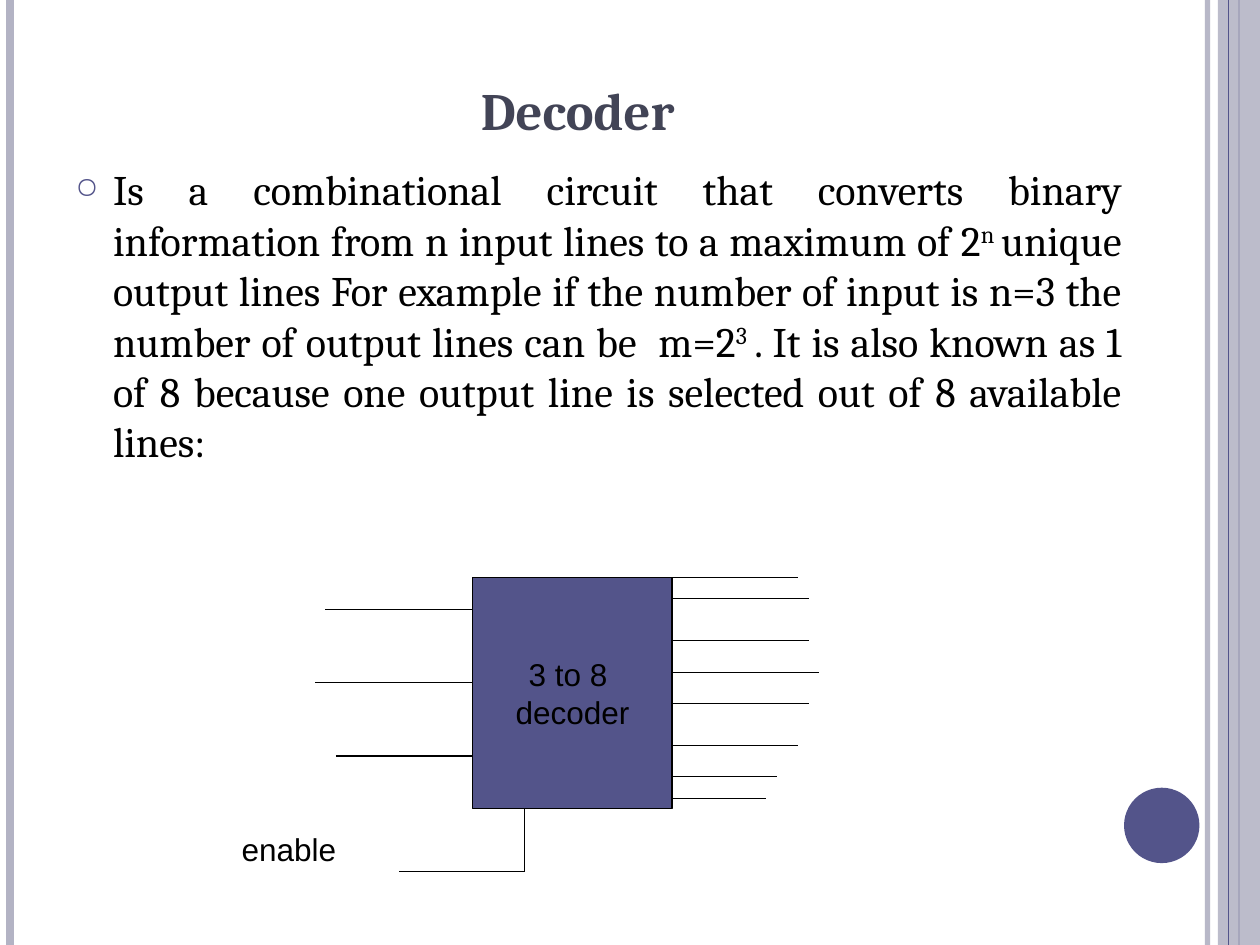
from dataclasses import dataclass

from lxml import etree
from pptx import Presentation
from pptx import util as u
from pptx.dml.color import RGBColor
from pptx.enum import shapes, text
from pptx.oxml import ns


@dataclass(frozen=True)
class Theme:
    accent: str = "53548A"
    pale: str = "B3B3C4"
    heading: str = "424456"
    ink: str = "000000"
    serif: str = "Cambria"
    sans: str = "Arial"
    title_size: float = 30
    body_size: float = 24
    label_size: float = 18
    hairline: float = 0.75


class SlideBuilder:
    """Holds the theme and the current slide; lengths are centimetres."""

    def __init__(self, slide, theme):
        self.slide = slide
        self.theme = theme

    def set_alpha(self, fill_parent, percent):
        color = fill_parent.find(".//" + ns.qn("a:srgbClr"))
        etree.SubElement(color, ns.qn("a:alpha"), val=str(percent * 1000))

    def line(self, x1, y1, x2, y2, color=None, width=None, alpha=None):
        rule = self.slide.shapes.add_connector(
            shapes.MSO_CONNECTOR.STRAIGHT, u.Cm(x1), u.Cm(y1), u.Cm(x2), u.Cm(y2))
        rule.line.color.rgb = RGBColor.from_string(color or self.theme.ink)
        rule.line.width = u.Pt(width or self.theme.hairline)
        properties = rule.line._get_or_add_ln().getparent()
        if alpha:
            self.set_alpha(properties, alpha)
        etree.SubElement(properties, ns.qn("a:effectLst"))

    def block(self, kind, box, fill, outline=None, alpha=None):
        block = self.slide.shapes.add_shape(kind, *map(u.Cm, box))
        block.shadow.inherit = False
        block.fill.solid()
        block.fill.fore_color.rgb = RGBColor.from_string(fill)
        if alpha:
            self.set_alpha(block.fill._xPr, alpha)
        if outline:
            block.line.color.rgb = RGBColor.from_string(outline)
            block.line.width = u.Pt(self.theme.hairline)
        else:
            block.line.fill.background()
        return block

    def run(self, paragraph, words, font, size, color=None, bold=False, raised=False):
        run = paragraph.add_run()
        run.text = words
        run.font.name = font
        run.font.size = u.Pt(size)
        run.font.bold = bold
        run.font.color.rgb = RGBColor.from_string(color or self.theme.ink)
        if raised:
            run.font._element.set("baseline", "30000")

    def title(self, words, box):
        title = self.slide.shapes.title
        title.left, title.top, title.width, title.height = map(u.Cm, box)
        title.text_frame.vertical_anchor = text.MSO_ANCHOR.BOTTOM
        paragraph = title.text_frame.paragraphs[0]
        paragraph.alignment = text.PP_ALIGN.CENTER
        self.run(paragraph, words, self.theme.serif, self.theme.title_size,
                 self.theme.heading, bold=True)

    def text_box(self, box, wrap):
        frame = self.slide.shapes.add_textbox(*map(u.Cm, box)).text_frame
        frame.word_wrap = wrap
        return frame

    def bullet_text(self, runs, box):
        paragraph = self.text_box(box, wrap=True).paragraphs[0]
        paragraph.alignment = text.PP_ALIGN.JUSTIFY
        paragraph.space_before = u.Pt(6)
        properties = paragraph._p.get_or_add_pPr()
        properties.set("marL", str(u.Cm(0.76)))
        properties.set("indent", str(u.Cm(-0.76)))
        bullet_color = etree.SubElement(properties, ns.qn("a:buClr"))
        etree.SubElement(bullet_color, ns.qn("a:srgbClr"), val=self.theme.accent)
        etree.SubElement(properties, ns.qn("a:buSzPct"), val="70000")
        etree.SubElement(properties, ns.qn("a:buChar"), char="○")
        for words, raised in runs:
            self.run(paragraph, words, self.theme.serif, self.theme.body_size, raised=raised)

    def label(self, frame, lines, alignment):
        for index, words in enumerate(lines):
            paragraph = frame.add_paragraph() if index else frame.paragraphs[0]
            paragraph.alignment = alignment
            self.run(paragraph, words, self.theme.sans, self.theme.label_size)


def main():
    deck = Presentation()
    deck.slide_width, deck.slide_height = u.Cm(25.4), u.Cm(19.05)
    theme = Theme()
    page = SlideBuilder(deck.slides.add_slide(deck.slide_layouts[5]), theme)

    # Side rules, right band and corner disc
    page_height = 19.05
    page.line(24.34, 0, 24.34, page_height, theme.pale, 3, alpha=93)
    page.line(0.21, 0, 0.21, page_height, theme.pale, 4.5)
    page.line(24.98, 0, 24.98, page_height, theme.accent, 1.5)
    page.block(shapes.MSO_SHAPE.RECTANGLE, (24.55, 0, 0.85, page_height), theme.pale, alpha=87)
    page.line(24.77, 0, 24.77, page_height, theme.accent)
    page.block(shapes.MSO_SHAPE.OVAL, (22.66, 15.88, 1.52, 1.52), theme.accent)

    # Title and definition
    page.title("Decoder", (1.27, 0.76, 20.75, 2.21))
    page.bullet_text([
        ("Is a combinational circuit that converts binary information from n input lines "
         "to a maximum of 2", False),
        ("n ", True),
        ("unique output lines For example if the number of input is n=3 the number of "
         "output lines can be  m=2", False),
        ("3 ", True),
        (". It is also known as 1 of 8 because one output line is selected out of 8 "
         "available lines:", False),
    ], (1.27, 3.18, 21.59, 14.81))

    # Decoder block
    left, top, width, height = 9.53, 11.64, 4.02, 4.66
    right, bottom = left + width, top + height
    decoder = page.block(shapes.MSO_SHAPE.RECTANGLE, (left, top, width, height),
                         theme.accent, theme.ink)
    decoder.text_frame.word_wrap = False
    decoder.text_frame.vertical_anchor = text.MSO_ANCHOR.MIDDLE
    page.label(decoder.text_frame, ["3 to 8 ", "decoder"], text.PP_ALIGN.CENTER)

    # Three inputs: height and outer end
    for y, start in [(12.28, 6.56), (13.76, 6.35), (15.24, 6.77)]:
        page.line(start, y, left, y)

    # Eight outputs: height and outer end
    for y, end in [(top, 16.09), (12.07, 16.3), (12.91, 16.3), (13.55, 16.51),
                   (14.18, 16.3), (15.03, 16.09), (15.66, 15.66), (16.09, 15.45)]:
        page.line(right, y, end, y)

    # Enable input
    enable_x, enable_y = 10.58, 17.57
    page.line(enable_x, bottom, enable_x, enable_y)
    page.line(enable_x, enable_y, 8.04, enable_y)
    enable = page.text_box((4.62, 16.61, 2.41, 1.02), wrap=False)
    page.label(enable, ["enable"], text.PP_ALIGN.LEFT)

    deck.save("out.pptx")


if __name__ == "__main__":
    main()
